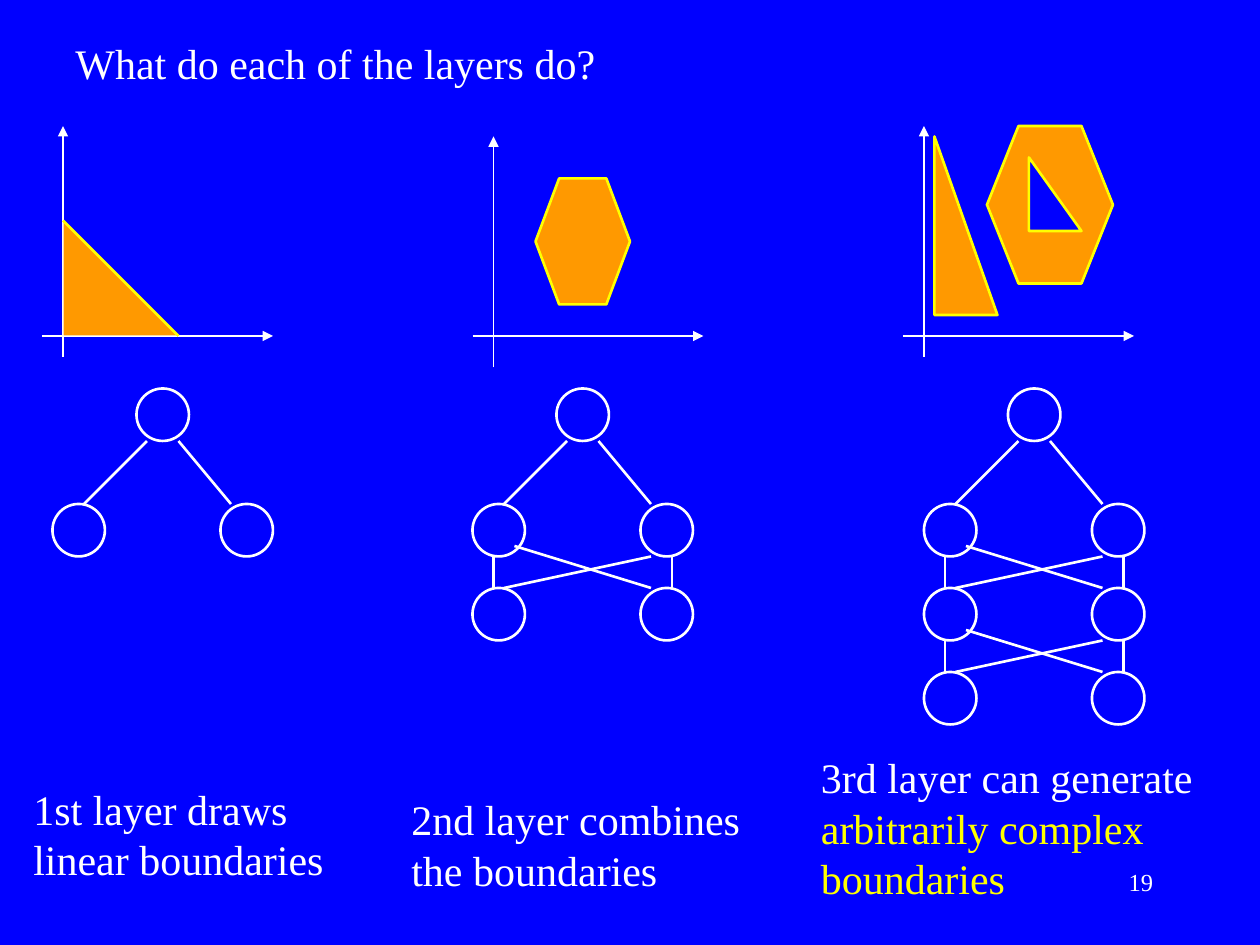
from lxml import etree
from pptx import Presentation
from pptx import util as u
from pptx.dml.color import RGBColor
from pptx.enum import shapes, text
from pptx.oxml import ns

PX = 9525
COLORS = {"blue": "0000FF", "white": "FFFFFF", "yellow": "FFFF00", "orange": "FF9900"}
NODE = 40
ROW_STEP = 64


def add_line(x1, y1, x2, y2, color="white", width=1.5, arrow=False):
    line = slide.shapes.add_connector(
        shapes.MSO_CONNECTOR.STRAIGHT, *(value * PX for value in (x1, y1, x2, y2))
    )
    line.line.color.rgb = RGBColor.from_string(COLORS[color])
    line.line.width = u.Pt(width)
    if arrow:
        etree.SubElement(line.line._get_or_add_ln(), ns.qn("a:tailEnd"), type="triangle")
    etree.SubElement(line._element.spPr, ns.qn("a:effectLst"))


def add_figure(kind, x, y, width, height, fill=None, color="white", weight=1.5):
    shape = slide.shapes.add_shape(kind, x * PX, y * PX, width * PX, height * PX)
    shape.shadow.inherit = False
    if fill:
        shape.fill.solid()
        shape.fill.fore_color.rgb = RGBColor.from_string(COLORS[fill])
    else:
        shape.fill.background()
    shape.line.color.rgb = RGBColor.from_string(COLORS[color])
    shape.line.width = u.Pt(weight)


presentation = Presentation()
presentation.slide_width = 960 * PX
presentation.slide_height = 720 * PX
slide = presentation.slides.add_slide(presentation.slide_layouts[6])
slide.background.fill.solid()
slide.background.fill.fore_color.rgb = RGBColor.from_string(COLORS["blue"])

left, right = text.PP_ALIGN.LEFT, text.PP_ALIGN.RIGHT
texts = [
    ((48, 24, 896, 48), [("What do each of the layers do?", "white")], 24, 15, left),
    ((16, 592, 274, 86), [("1st layer draws linear boundaries", "white")], 24, 15, left),
    ((304, 600, 296, 145), [("2nd layer combines the boundaries", "white")], 24, 15, left),
    ((616, 568, 344, 125), [("3rd layer can generate ", "white"),
                            ("arbitrarily complex boundaries", "yellow")], 24, 0, left),
    ((688, 656, 200, 48), [("19", "white")], 14, 0, right),
]
for box, runs, size, space_before, alignment in texts:
    shape = slide.shapes.add_textbox(*(value * PX for value in box))
    shape.text_frame.word_wrap = True
    paragraph = shape.text_frame.paragraphs[0]
    paragraph_format = {
        "alignment": alignment,
        "space_before": u.Pt(space_before),
        "line_spacing": u.Pt(size * 1.2),
    }
    for name, value in paragraph_format.items():
        setattr(paragraph, name, value)
    for words, color in runs:
        run = paragraph.add_run()
        run.text = words
        for name, value in {"name": "Times New Roman", "size": u.Pt(size)}.items():
            setattr(run.font, name, value)
        run.font.color.rgb = RGBColor.from_string(COLORS[color])

for axis_x, axis_top in [(48, 96), (376, 104), (704, 96)]:
    add_line(axis_x - 16, 256, axis_x + 160, 256, width=0.75, arrow=True)
    add_line(axis_x, axis_top + 176, axis_x, axis_top, width=0.75, arrow=True)

triangle, hexagon = shapes.MSO_SHAPE.RIGHT_TRIANGLE, shapes.MSO_SHAPE.HEXAGON
add_figure(triangle, 48, 168, 88, 88, "orange", "white", 0.75)
add_line(48, 168, 136, 256, "yellow")
regions = [
    (hexagon, 408, 136, 72, 96, "orange"),
    (hexagon, 752, 96, 96, 120, "orange"),
    (triangle, 712, 104, 48, 136, "orange"),
    (triangle, 784, 120, 40, 56, "blue"),
]
for region in regions:
    add_figure(*region, color="yellow")

output_links = [(24, 0, 72, -48), (136, 0, 96, -48)]
layer_links = [(24, 0, 136, -24), (136, 0, 32, -32), (16, 0, 16, -24), (152, 0, 152, -24)]
for net_x, layers in [(40, 1), (360, 2), (704, 3)]:
    add_figure(shapes.MSO_SHAPE.OVAL, net_x + 64, 296, NODE, NODE)
    for layer in range(layers):
        row_y = 384 + layer * ROW_STEP
        for node_x in (net_x, net_x + 128):
            add_figure(shapes.MSO_SHAPE.OVAL, node_x, row_y, NODE, NODE)
        for x1, y1, x2, y2 in layer_links if layer else output_links:
            add_line(net_x + x1, row_y + y1, net_x + x2, row_y + y2)

presentation.save("out.pptx")
